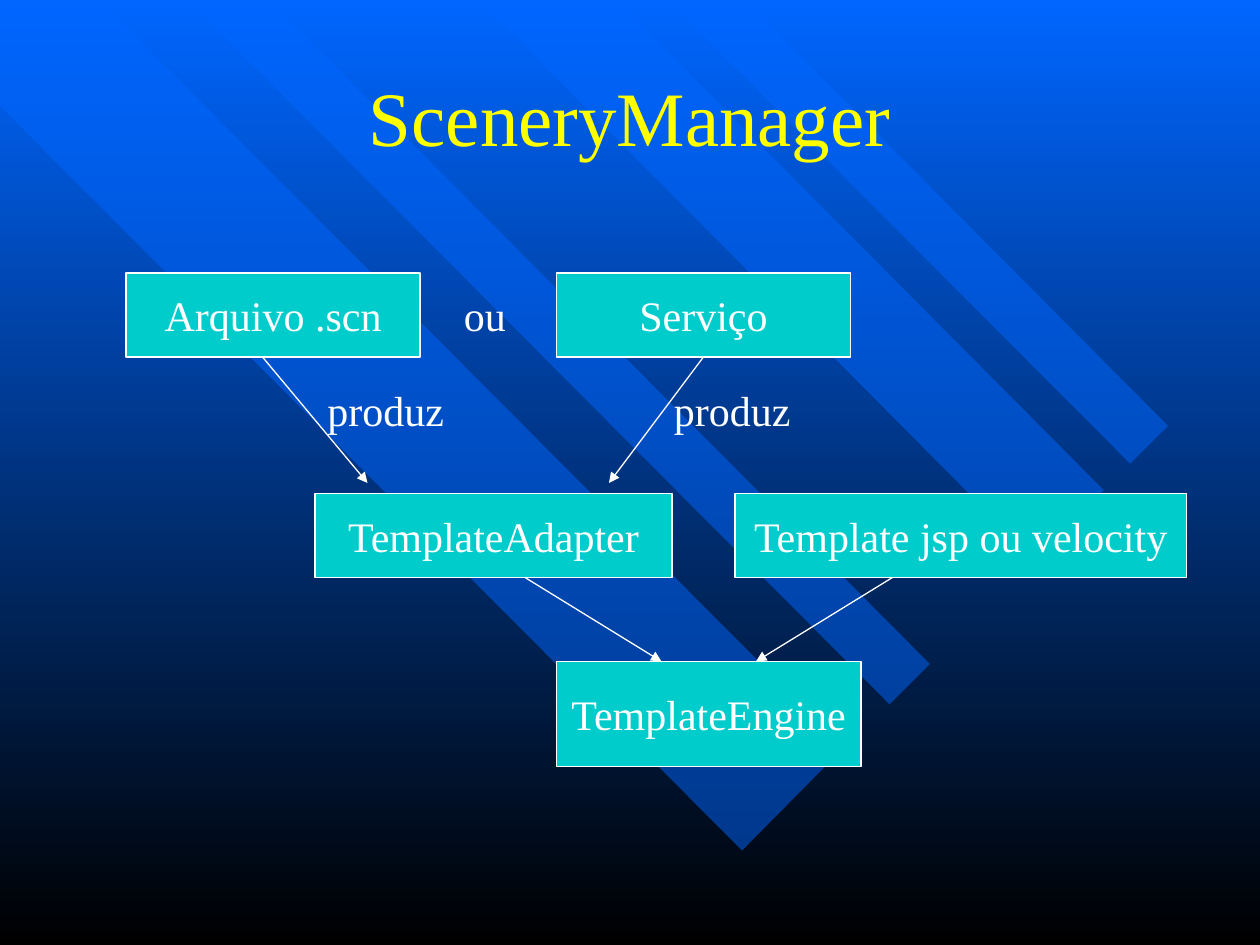
from pptx import Presentation
from pptx.dml.color import RGBColor
from pptx.enum.shapes import MSO_CONNECTOR, MSO_SHAPE
from pptx.enum.text import MSO_ANCHOR, MSO_AUTO_SIZE, PP_ALIGN
from pptx.oxml.ns import qn
from pptx.util import Inches, Pt
from lxml import etree

BLUE = RGBColor(0x00, 0x66, 0xFF)
BLACK = RGBColor(0x00, 0x00, 0x00)
TEAL = RGBColor(0x00, 0xCC, 0xCC)
WHITE = RGBColor(0xFF, 0xFF, 0xFF)
YELLOW = RGBColor(0xFF, 0xFF, 0x00)
FONT = "Times New Roman"
CELL = Inches(1) // 12  # grid: 120 columns by 90 rows


def grid(*cells):
    return [int(c * CELL) for c in cells]


def set_text(sp, text, size=24, color=WHITE, align=PP_ALIGN.CENTER, wrap=False):
    tf = sp.text_frame
    tf.text = text
    tf.word_wrap = wrap
    tf.vertical_anchor = MSO_ANCHOR.MIDDLE
    p = tf.paragraphs[0]
    p.alignment = align
    font = p.runs[0].font
    font.name, font.size, font.color.rgb = FONT, Pt(size), color


prs = Presentation()
prs.slide_width, prs.slide_height = grid(120, 90)
s = prs.slides.add_slide(prs.slide_layouts[6])

# Background: blue at the top to black at the bottom
fill = s.background.fill
fill.gradient()
fill.gradient_angle = 270
for stop, color in zip(fill.gradient_stops, (BLUE, BLACK)):
    stop.color.rgb = color

# Diagonal translucent stripes, in hundredths of an inch
stripes = [
    [(670, 593), (79, 0), (0, 0), (0, 84), (589, 675)],
    [(214, 0), (738, 527), (706, 559), (149, 0)],
    [(489, 0), (876, 389), (821, 444), (380, 0)],
    [(530, 0), (897, 368), (927, 338), (591, 0)],
]
for start, *points in stripes:
    builder = s.shapes.build_freeform(*start, scale=Inches(0.01))
    builder.add_line_segments(points, close=True)
    sp = builder.convert_to_shape()
    sp.shadow.inherit = False
    sp.line.fill.background()
    sp.fill.solid()
    sp.fill.fore_color.rgb = BLUE
    rgb = sp.fill._xPr.find(qn("a:solidFill"))[0]
    etree.SubElement(rgb, qn("a:alpha"), val="50000")

# Title
title = s.shapes.add_textbox(*grid(9, 3, 102, 16))
set_text(title, "SceneryManager", 44, YELLOW, wrap=True)

# Boxes: text, column, row, width, height
boxes = [
    ("TemplateAdapter", 30, 47, 34, 8),
    ("Arquivo .scn", 12, 26, 28, 8),
    ("Serviço", 53, 26, 28, 8),
    ("Template jsp ou velocity", 70, 47, 43, 8),
    ("TemplateEngine", 53, 63, 29, 10),
]
for text, *cells in boxes:
    sp = s.shapes.add_shape(MSO_SHAPE.RECTANGLE, *grid(*cells))
    sp.shadow.inherit = False
    sp.fill.solid()
    sp.fill.fore_color.rgb = TEAL
    sp.line.color.rgb = WHITE
    sp.line.width = Pt(0.75)
    set_text(sp, text)

# Labels: text, column, row, width
labels = [("ou", 43, 27, 6.4), ("produz", 30, 36, 13.5), ("produz", 63, 36, 13.5)]
for text, col, row, width in labels:
    sp = s.shapes.add_textbox(*grid(col, row, width, 6))
    set_text(sp, text, align=PP_ALIGN.LEFT)
    sp.text_frame.auto_size = MSO_AUTO_SIZE.SHAPE_TO_FIT_TEXT

# Arrows: from column, row to column, row
arrows = [(25, 34, 35, 46), (67, 34, 58, 46), (50, 55, 63, 63), (85, 55, 72, 63)]
for ends in arrows:
    arrow = s.shapes.add_connector(MSO_CONNECTOR.STRAIGHT, *grid(*ends))
    arrow.line.color.rgb = WHITE
    arrow.line.width = Pt(0.75)
    etree.SubElement(arrow.line._get_or_add_ln(), qn("a:tailEnd"), type="triangle")
    etree.SubElement(arrow._element.spPr, qn("a:effectLst"))

prs.save("out.pptx")
